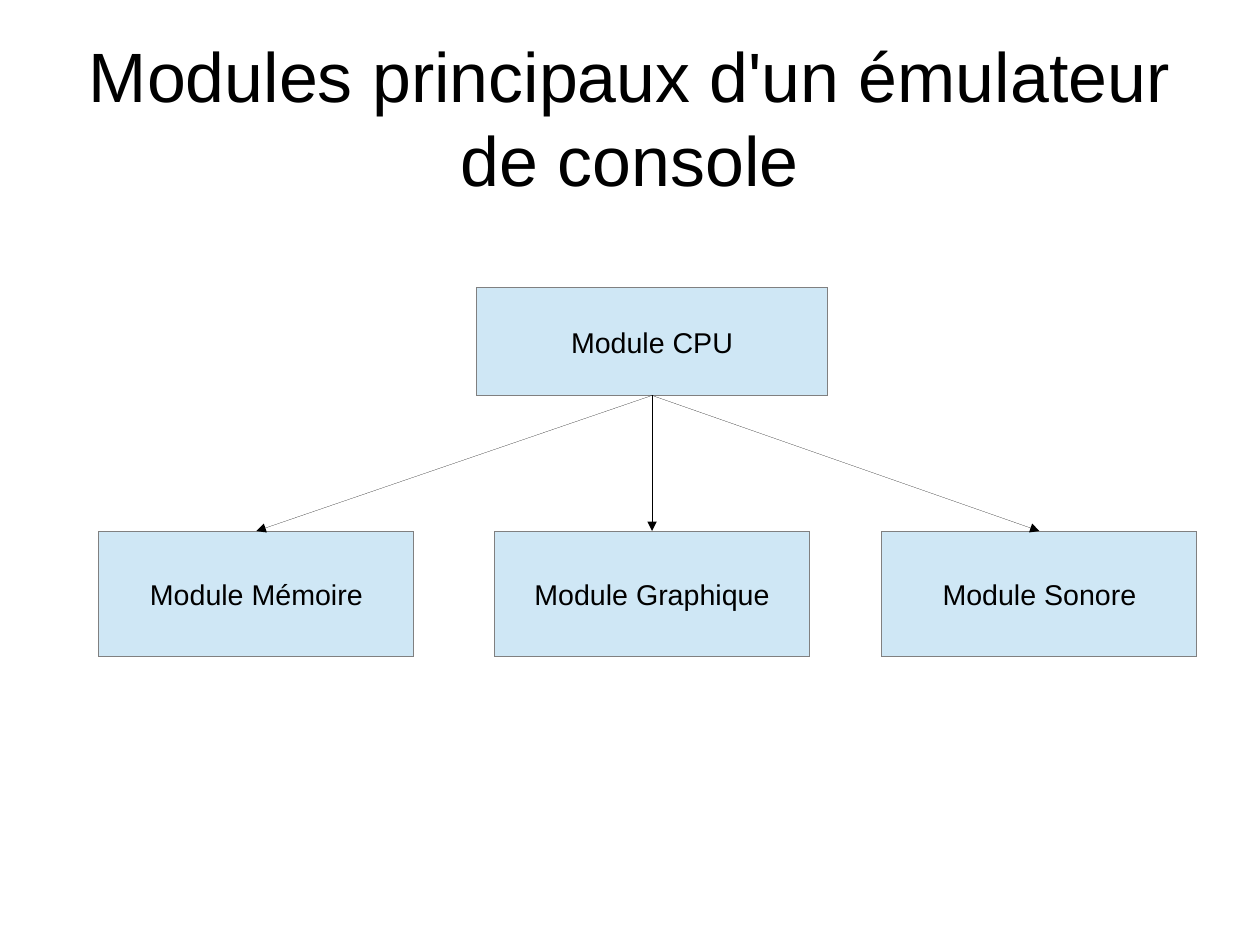
from dataclasses import dataclass

from lxml.etree import SubElement
from pptx import Presentation
from pptx.dml.color import RGBColor
from pptx.enum.shapes import MSO_CONNECTOR, MSO_SHAPE
from pptx.enum.text import MSO_ANCHOR, MSO_AUTO_SIZE, PP_ALIGN
from pptx.oxml.ns import qn
from pptx.util import Cm, Pt


@dataclass(frozen=True)
class Theme:
    font: str = "Arial"
    title_size: int = 44
    box_size: int = 18
    ink: RGBColor = RGBColor(0x00, 0x00, 0x00)
    fill: RGBColor = RGBColor(0xCF, 0xE7, 0xF5)
    border: RGBColor = RGBColor(0x80, 0x80, 0x80)


THEME = Theme()
WIDTH, HEIGHT = Cm(28), Cm(21)
COLUMNS = ROWS = 100
BOTTOM, TOP = 2, 0

CPU_CENTRE = 51.75
CHILDREN = [
    ("Module Mémoire", 20.35),
    ("Module Graphique", CPU_CENTRE),
    ("Module Sonore", 82.5),
]


def col(n):
    return round(WIDTH * n / COLUMNS)


def row(n):
    return round(HEIGHT * n / ROWS)


def format_paragraph(p, size):
    p.alignment = PP_ALIGN.CENTER
    p.font.name = THEME.font
    p.font.size = Pt(size)
    p.font.color.rgb = THEME.ink


def set_hairline(shape, color):
    shape.line.color.rgb = color
    ln = shape.element.spPr.find(qn("a:ln"))
    ln.set("w", "0")
    return ln


def set_title(slide, lines):
    title = slide.shapes.title
    title.left, title.top = col(5), row(4)
    title.width, title.height = col(90), row(16.7)
    tf = title.text_frame
    tf.word_wrap = True
    tf.auto_size = MSO_AUTO_SIZE.SHAPE_TO_FIT_TEXT
    tf.vertical_anchor = MSO_ANCHOR.MIDDLE
    tf.margin_left = tf.margin_right = tf.margin_top = tf.margin_bottom = 0
    p = tf.paragraphs[0]
    for i, line in enumerate(lines):
        if i:
            p.add_line_break()
        p.add_run().text = line
    format_paragraph(p, THEME.title_size)


def add_box(slide, text, centre, top, width, height):
    sp = slide.shapes.add_shape(
        MSO_SHAPE.RECTANGLE, col(centre - width / 2), row(top), col(width), row(height)
    )
    sp.shadow.inherit = False
    sp.fill.solid()
    sp.fill.fore_color.rgb = THEME.fill
    set_hairline(sp, THEME.border)
    tf = sp.text_frame
    tf.word_wrap = False
    tf.vertical_anchor = MSO_ANCHOR.MIDDLE
    tf.text = text
    format_paragraph(tf.paragraphs[0], THEME.box_size)
    return sp


def add_arrow(slide, parent, child):
    arrow = slide.shapes.add_connector(MSO_CONNECTOR.STRAIGHT, 0, 0, 0, 0)
    arrow.begin_connect(parent, BOTTOM)
    arrow.end_connect(child, TOP)
    ln = set_hairline(arrow, THEME.ink)
    SubElement(ln, qn("a:tailEnd"), type="triangle")
    SubElement(arrow.element.spPr, qn("a:effectLst"))


def main():
    prs = Presentation()
    prs.slide_width, prs.slide_height = WIDTH, HEIGHT
    slide = prs.slides.add_slide(prs.slide_layouts.get_by_name("Title Only"))
    set_title(slide, ["Modules principaux d'un émulateur", "de console"])
    cpu = add_box(slide, "Module CPU", CPU_CENTRE, 30.45, 27.85, 11.4)
    for text, centre in CHILDREN:
        child = add_box(slide, text, centre, 56.2, 25, 13.3)
        add_arrow(slide, cpu, child)
    prs.save("out.pptx")


if __name__ == "__main__":
    main()
